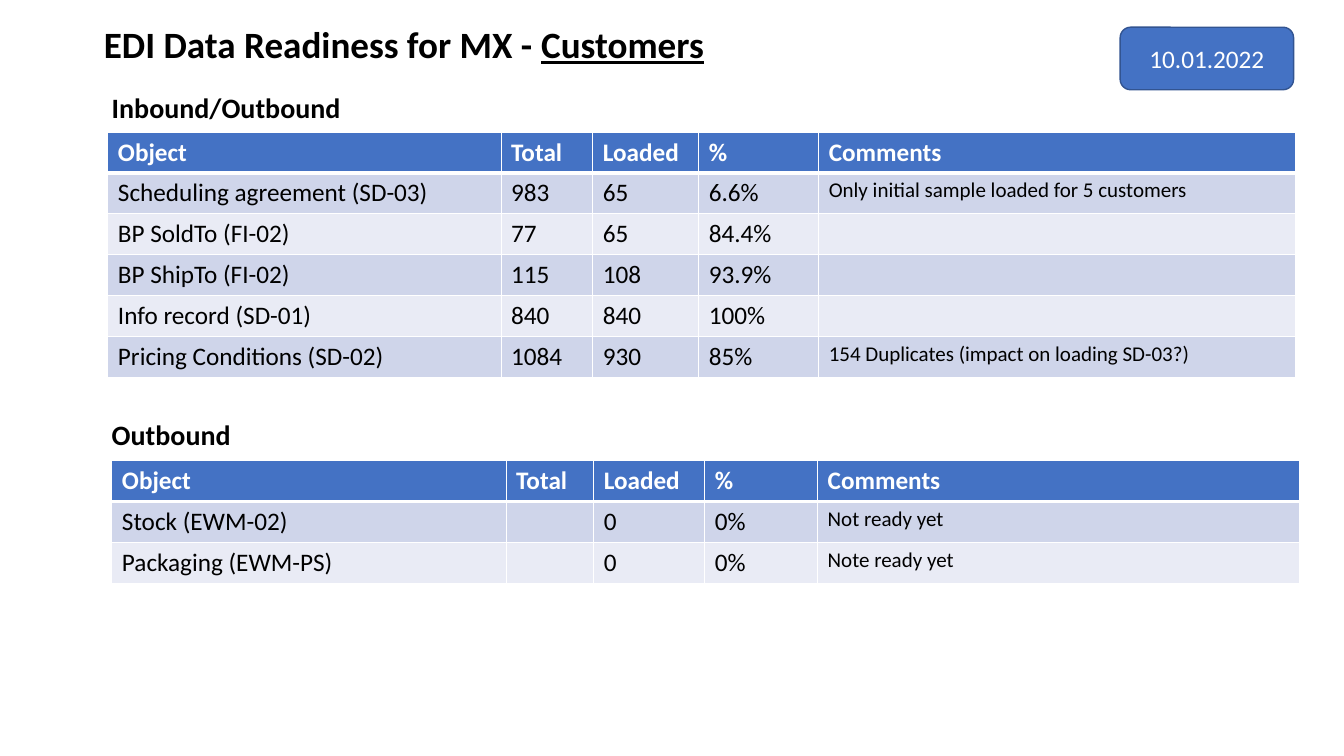
from dataclasses import dataclass

from lxml import etree
from pptx import Presentation
from pptx.dml.color import RGBColor
from pptx.enum.shapes import MSO_SHAPE
from pptx.enum.text import MSO_ANCHOR, MSO_AUTO_SIZE, PP_ALIGN
from pptx.oxml.ns import qn
from pptx.slide import Slide
from pptx.table import _Cell
from pptx.text.text import TextFrame, _Paragraph
from pptx.util import Inches, Pt

ROUNDED = MSO_SHAPE.ROUNDED_RECTANGLE
MIDDLE = MSO_ANCHOR.MIDDLE
NO_AUTOFIT = MSO_AUTO_SIZE.NONE
LEFT, CENTER = PP_ALIGN.LEFT, PP_ALIGN.CENTER

FONT = "Calibri"
BLACK = RGBColor(0x00, 0x00, 0x00)
WHITE = RGBColor(0xFF, 0xFF, 0xFF)
BLUE = RGBColor(0x44, 0x72, 0xC4)
DARK_BLUE = RGBColor(0x32, 0x54, 0x91)
BANDS = (RGBColor(0xCF, 0xD5, 0xEA), RGBColor(0xE9, 0xEB, 0xF5))

ROW_HEIGHT = 0.405
TEXT_WIDTH, TEXT_HEIGHT = 9.29, 0.47
HEADERS = ("Object", "Total", "Loaded", "%", "Comments")
COMMENT_COLUMN = HEADERS.index("Comments")


@dataclass(frozen=True)
class Section:
    """A heading with the readiness table below it; lengths in inches."""

    heading: str
    heading_top: float
    table_left: float
    table_top: float
    widths: tuple[float, ...]
    rows: tuple[tuple[str, ...], ...]


SECTIONS = (
    Section("Inbound/Outbound", 0.85, 1.07, 1.31, (3.9, 0.91, 1.05, 1.19, 4.73), (
        ("Scheduling agreement (SD-03)", "983", "65", "6.6%",
         "Only initial sample loaded for 5 customers"),
        ("BP SoldTo (FI-02)", "77", "65", "84.4%", ""),
        ("BP ShipTo (FI-02)", "115", "108", "93.9%", ""),
        ("Info record (SD-01)", "840", "840", "100%", ""),
        ("Pricing Conditions (SD-02)", "1084", "930", "85%",
         "154 Duplicates (impact on loading SD-03?)"),
    )),
    Section("Outbound", 4.09, 1.11, 4.57, (3.91, 0.87, 1.1, 1.12, 4.78), (
        ("Stock (EWM-02)", "", "0", "0%", "Not ready yet"),
        ("Packaging (EWM-PS)", "", "0", "0%", "Note ready yet"),
    )),
)


def add_span(para: _Paragraph, text: str, size: float, color: RGBColor = BLACK,
             bold: bool = False, underline: bool = False) -> None:
    """Append one formatted run to a paragraph."""
    span = para.add_run()
    span.text = text
    font = span.font
    font.name, font.size, font.bold = FONT, Pt(size), bold
    font.color.rgb = color
    if underline:
        font.underline = True


def prepare_line(frame: TextFrame, spacing: float) -> _Paragraph:
    """Set up a left-aligned, vertically centred frame and return its paragraph."""
    frame.word_wrap = True
    frame.auto_size = NO_AUTOFIT
    frame.vertical_anchor = MIDDLE
    para = frame.paragraphs[0]
    para.alignment = LEFT
    para.line_spacing = spacing
    return para


def add_title(page: Slide) -> None:
    """Place and fill the title placeholder."""
    title = page.shapes.title
    title.left, title.top = Inches(0.93), Inches(0.24)
    title.width, title.height = Inches(TEXT_WIDTH), Inches(TEXT_HEIGHT)
    para = prepare_line(title.text_frame, 0.8)
    add_span(para, "EDI Data Readiness for MX - ", 26.5, bold=True)
    add_span(para, "Customers", 26.5, bold=True, underline=True)


def set_borders(cell: _Cell, bottom: float) -> None:
    """Draw white cell borders, with the bottom one of the given points."""
    properties = cell._tc.get_or_add_tcPr()
    for tag, width in (("a:lnL", 1), ("a:lnR", 1), ("a:lnT", 1), ("a:lnB", bottom)):
        line = etree.SubElement(properties, qn(tag), w=str(Pt(width)))
        fill = etree.SubElement(line, qn("a:solidFill"))
        etree.SubElement(fill, qn("a:srgbClr"), val=str(WHITE))


def add_section(page: Slide, section: Section) -> None:
    """Add a section's heading and table."""
    box = page.shapes.add_textbox(Inches(1.01), Inches(section.heading_top),
                                  Inches(TEXT_WIDTH), Inches(TEXT_HEIGHT))
    add_span(prepare_line(box.text_frame, 0.9), section.heading, 20, bold=True)

    rows = (HEADERS, *section.rows)
    table = page.shapes.add_table(
        len(rows), len(HEADERS), Inches(section.table_left), Inches(section.table_top),
        Inches(sum(section.widths)), Inches(ROW_HEIGHT * len(rows))).table
    for column, width in zip(table.columns, section.widths):
        column.width = Inches(width)
    for row_index, texts in enumerate(rows):
        table.rows[row_index].height = Inches(ROW_HEIGHT)
        header = row_index == 0
        for column_index, text in enumerate(texts):
            cell = table.cell(row_index, column_index)
            set_borders(cell, 3 if header else 1)
            cell.fill.solid()
            cell.fill.fore_color.rgb = BLUE if header else BANDS[(row_index - 1) % 2]
            if text:
                small = column_index == COMMENT_COLUMN and not header
                add_span(cell.text_frame.paragraphs[0], text, 15 if small else 18,
                         WHITE if header else BLACK, bold=header)


def add_date_badge(page: Slide) -> None:
    """Add the rounded date badge at the top right."""
    badge = page.shapes.add_shape(ROUNDED, Inches(11.11), Inches(0.27),
                                  Inches(1.72), Inches(0.62))
    badge.shadow.inherit = False
    badge.fill.solid()
    badge.fill.fore_color.rgb = BLUE
    badge.line.color.rgb = DARK_BLUE
    badge.line.width = Pt(1)
    badge.text_frame.vertical_anchor = MIDDLE
    para = badge.text_frame.paragraphs[0]
    para.alignment = CENTER
    add_span(para, "10.01.2022", 18, WHITE)


deck = Presentation()
deck.slide_width, deck.slide_height = Inches(13.33), Inches(7.5)
page = deck.slides.add_slide(deck.slide_layouts.get_by_name("Title Only"))
add_title(page)
for section in SECTIONS:
    add_section(page, section)
add_date_badge(page)
deck.save("out.pptx")
